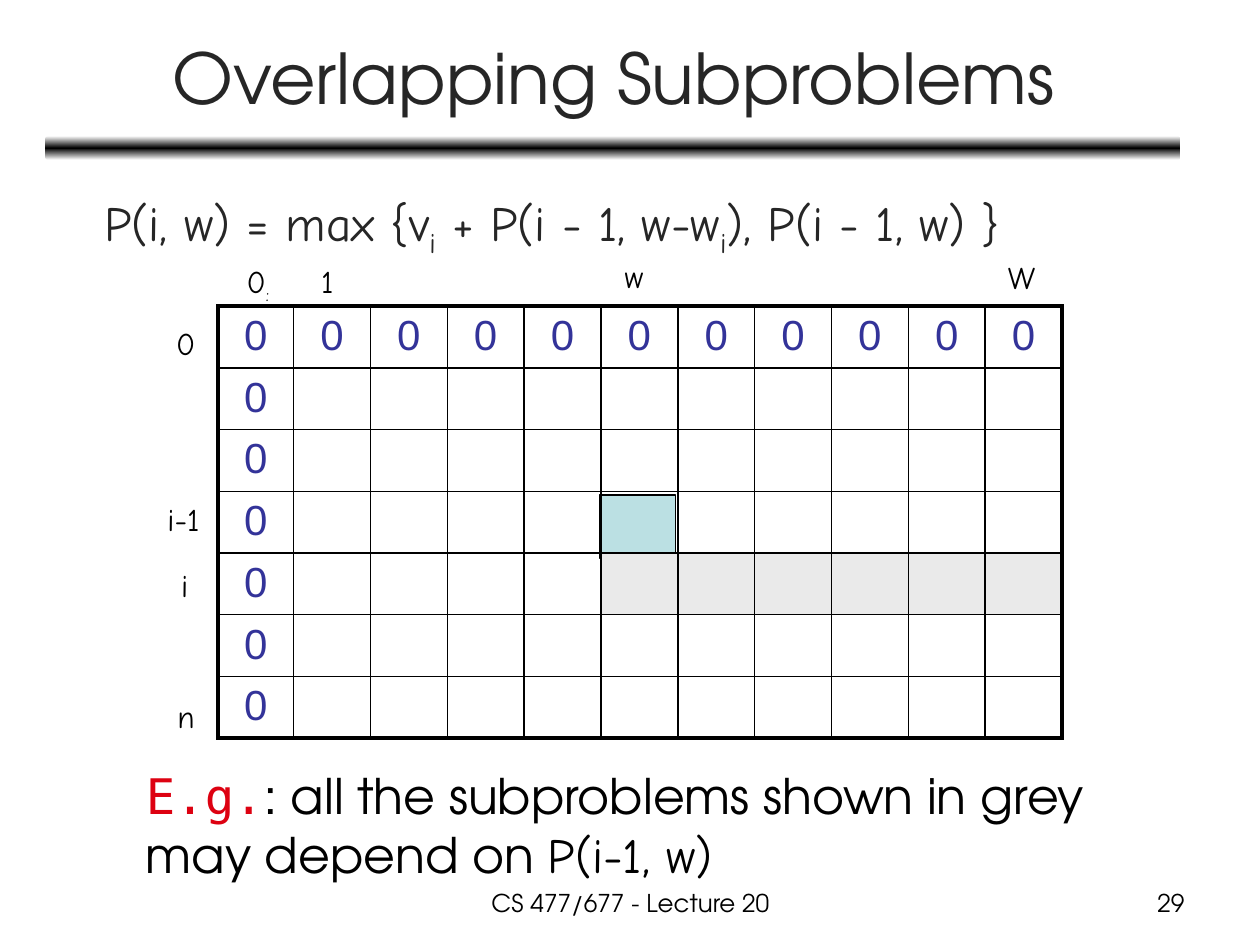
"""Build the slide on overlapping subproblems with its table of values."""
from copy import deepcopy
from typing import NamedTuple

from lxml import etree
from pptx import Presentation
from pptx import util as u
from pptx.dml import color
from pptx.enum import shapes, text
from pptx.oxml import ns

WIDE, HIGH = 10, 7.5
COLS, ROWS = 11, 7
LEFT, TOP, CELL, ROW = 1.73, 2.43, 0.61, 0.49
SANS, HAND = "TeX Gyre Adventor", "Comic Neue"
ALIGN = text.PP_ALIGN


class Run(NamedTuple):
    words: str
    face: str = HAND
    ink: str = "000000"
    base: int = 0


class Box(NamedTuple):
    at: tuple
    runs: list
    size: float = 18
    form: dict = {}
    wrap: bool = True
    anchor: text.MSO_ANCHOR = text.MSO_ANCHOR.TOP
    hang: float = 0
    lead: bool = False


def hue(code: str) -> color.RGBColor:
    return color.RGBColor.from_string(code)


def span(at: tuple) -> list:
    return [u.Inches(n) for n in at]


def put(item, form: dict) -> None:
    for name, value in form.items():
        setattr(item, name, value)


def node(root, tag: str, **attrs):
    return etree.SubElement(root, ns.qn(tag), attrs)


def write(para, runs: list, size: float, form: dict, lead: bool = False) -> None:
    put(para, form)
    if lead:
        gap = node(para._p.get_or_add_pPr(), "a:spcBef")
        node(gap, "a:spcPct", val="20000")
    for part in runs:
        run = para.add_run()
        run.text = part.words
        put(run.font, {"size": u.Pt(size), "name": part.face})
        run.font.color.rgb = hue(part.ink)
        if part.base:
            run.font._element.set("baseline", str(part.base * 1000))


def draw_box(slide, box: Box) -> None:
    frame = slide.shapes.add_textbox(*span(box.at)).text_frame
    put(frame, {"word_wrap": box.wrap, "vertical_anchor": box.anchor})
    para = frame.paragraphs[0]
    if box.hang:
        inset = u.Inches(box.hang)
        props = para._p.get_or_add_pPr()
        props.set("marL", str(inset))
        props.set("indent", str(-inset))
    write(para, box.runs, box.size, box.form, box.lead)


def draw_rule(slide) -> None:
    kind = shapes.MSO_SHAPE.ROUNDED_RECTANGLE
    bar = slide.shapes.add_shape(kind, *span((0.36, 1.08, 9.01, 0.19)))
    bar.shadow.inherit = False
    bar.line.fill.background()
    bar.fill.gradient()
    bar.fill.gradient_angle = 90
    stops = next(bar._element.iter(ns.qn("a:gsLst")))
    stops.append(deepcopy(stops[0]))
    shades = ("FFFFFF", "000000", "FFFFFF")
    for index, (stop, shade) in enumerate(zip(bar.fill.gradient_stops, shades)):
        stop.color.rgb = hue(shade)
        stop.position = index / 2


def draw_mark(slide) -> None:
    kind = shapes.MSO_SHAPE.RECTANGLE
    mark = slide.shapes.add_shape(kind, *span((4.76, 3.93, 0.6, 0.5)))
    mark.shadow.inherit = False
    mark.fill.solid()
    mark.fill.fore_color.rgb = hue("BBE0E3")
    mark.line.color.rgb = hue("000000")
    mark.line.width = u.Pt(0.75)


def edge(cell, side: str, outer: bool) -> None:
    width = u.Pt(2.25 if outer else 1)
    line = node(cell._tc.get_or_add_tcPr(), f"a:ln{side}", w=str(width))
    node(node(line, "a:solidFill"), "a:srgbClr", val="000000")


def draw_grid(slide) -> None:
    area = span((LEFT, TOP, 6.68, ROWS * ROW))
    table = slide.shapes.add_table(ROWS, COLS, *area).table
    put(table, {"first_row": False, "horz_banding": False})
    for col in range(COLS):
        table.columns[col].width = u.Inches(CELL if col else 0.6)
    for row in range(ROWS):
        table.rows[row].height = u.Inches(ROW)
        for col in range(COLS):
            cell = table.cell(row, col)
            outer = {"L": col == 0, "R": col == COLS - 1,
                     "T": row == 0, "B": row == ROWS - 1}
            for side, thick in outer.items():
                edge(cell, side, thick)
            if row == 4 and col >= 5:
                cell.fill.solid()
                cell.fill.fore_color.rgb = hue("EAEAEA")
            else:
                cell.fill.background()
            if row == 0 or col == 0:
                write(cell.text_frame.paragraphs[0], [Run("0", "Arial", "333399")],
                      24, {"alignment": ALIGN.CENTER}, True)


def label(left: float, top: float, wide: float, *runs: Run) -> Box:
    return Box((left, top, wide, 0.4), list(runs), wrap=False)


DARK = "262626"
MID, RIGHT = {"alignment": ALIGN.CENTER}, {"alignment": ALIGN.RIGHT}
RULE = [Run("\t", SANS, DARK), Run("P(i, w) = max {v", HAND, DARK),
        Run("i", HAND, DARK, -25), Run(" + P(i - 1, w-w", HAND, DARK),
        Run("i", HAND, DARK, -25), Run("), P(i - 1, w) }", HAND, DARK)]
NOTE = [Run("E.g.", "DejaVu Sans Mono", "DD0111"), Run(": ", "Arial"),
        Run("all the subproblems shown in grey may depend on ", SANS),
        Run("P(i-1, w)")]
BOXES = [
    Box((3.42, 7, 3.17, 0.35), [Run("CS 477/677 - Lecture 20", SANS)], 14, MID),
    Box((0.37, 0.11, 9, 0.99), [Run("Overlapping Subproblems", SANS, DARK)], 40,
        MID, anchor=text.MSO_ANCHOR.MIDDLE),
    label(1.86, 2.03, 0.4, Run("0"), Run(":", base=-25)),
    label(2.45, 2.03, 0.31, Run("1")),
    label(4.86, 1.99, 0.37, Run("w")),
    label(7.9, 2, 0.46, Run("W")),
    label(1.3, 2.52, 0.35, Run("0")),
    label(1.23, 3.92, 0.49, Run("i-1")),
    label(1.34, 4.44, 0.27, Run("i")),
    label(1.31, 5.48, 0.33, Run("n")),
    Box((0.35, 1.48, 9, 0.79), RULE, 28, hang=0.38, lead=True),
    Box((1.06, 6.03, 7.97, 1.03), NOTE, 28),
    Box((7.17, 7, 2.33, 0.35), [Run("29", SANS)], 14, RIGHT),
]


def main() -> None:
    deck = Presentation()
    put(deck, {"slide_width": u.Inches(WIDE), "slide_height": u.Inches(HIGH)})
    slide = deck.slides.add_slide(deck.slide_layouts[6])
    draw_rule(slide)
    draw_mark(slide)
    draw_grid(slide)
    for box in BOXES:
        draw_box(slide, box)
    deck.save("out.pptx")


main()
